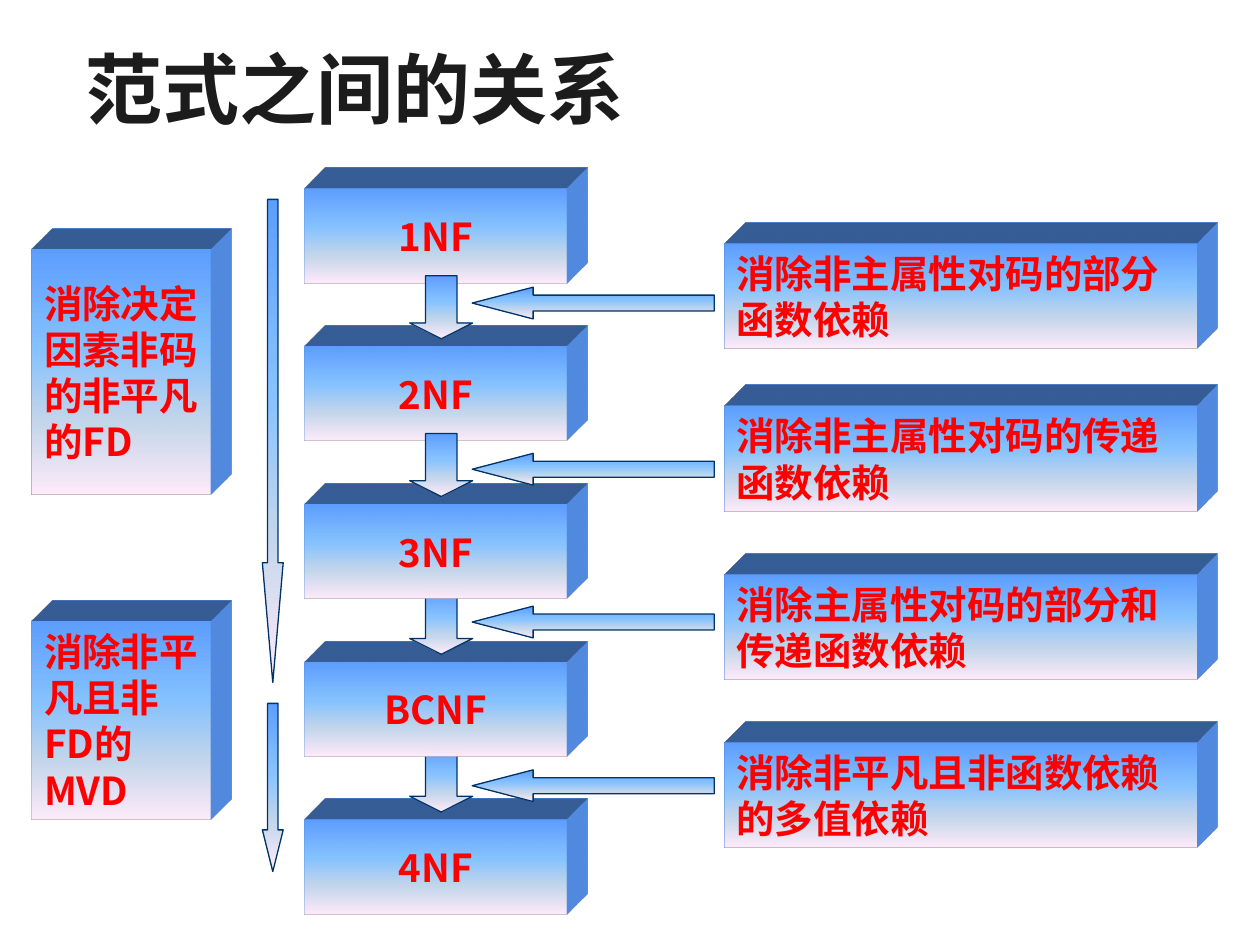
from dataclasses import dataclass

import pptx
import pptx.dml.color
import pptx.enum.shapes
import pptx.enum.text
import pptx.oxml
import pptx.oxml.ns
import pptx.util

Cm = pptx.util.Cm
Pt = pptx.util.Pt
PRESET = pptx.enum.shapes.MSO_SHAPE
ANCHOR = pptx.enum.text.MSO_ANCHOR
ALIGN = pptx.enum.text.PP_ALIGN

COLORS = {
    "title": "1C1C1C",
    "label": "FF0000",
    "outline": "003366",
    "sky": "5E9EFF",
    "light_sky": "85C2FF",
    "mist": "C4D6EB",
    "blush": "FFEBFA",
}
GRADIENT = (("sky", 0), ("light_sky", 40), ("mist", 70), ("blush", 100))
LABEL_FONT = "Noto Sans CJK SC"
BASE_FONT = "Lato"

FORM_LEFT, FORM_TOP, FORM_PITCH = 6.14, 3.81, 3.18
FORM_WIDTH, FORM_HEIGHT = 5.29, 1.9
STEP_SIZE, STEP_RISE = 1.27, 1.43


@dataclass(frozen=True)
class Area:
    left: float
    top: float
    width: float
    height: float

    def lengths(self) -> tuple:
        return Cm(self.left), Cm(self.top), Cm(self.width), Cm(self.height)


@dataclass(frozen=True)
class Step:
    """A move to the normal form in the given row, with its condition."""
    row: int
    form: str
    condition: str
    condition_top: float
    pointer_top: float


@dataclass(frozen=True)
class Shortcut:
    """A condition that spans several normal forms."""
    condition: str
    box: Area
    arrow: Area
    head: float


# Listed from back to front: a later form covers the start of the next arrow.
STEPS = (
    Step(1, "2NF", "消除非主属性对码的部分函数依赖", 4.9, 5.79),
    Step(4, "4NF", "消除非平凡且非函数依赖的多值依赖", 14.96, 15.52),
    Step(3, "BCNF", "消除主属性对码的部分和传递函数依赖", 11.58, 12.22),
    Step(2, "3NF", "消除非主属性对码的传递函数依赖", 8.18, 9.14),
)
SHORTCUTS = (
    Shortcut("消除非平凡且非FD的MVD", Area(0.64, 12.52, 3.6, 4.01),
             Area(5.29, 14.18, 0.42, 3.39), 2),
    Shortcut("消除决定因素非码的非平凡的FD", Area(0.64, 5.03, 3.6, 4.95),
             Area(5.29, 4.02, 0.42, 9.74), 5.75),
)


def rgb(name: str) -> pptx.dml.color.RGBColor:
    return pptx.dml.color.RGBColor.from_string(COLORS[name])


def add_text(paragraph, text: str, size: float, color: str, latin: str) -> None:
    run = paragraph.add_run()
    run.text = text
    run.font.size = Pt(size)
    run.font.bold = True
    run.font.name = latin
    run.font.color.rgb = rgb(color)
    east_asian = pptx.oxml.parse_xml(
        f'<a:ea {pptx.oxml.ns.nsdecls("a")} typeface="{BASE_FONT}"/>')
    run.font._element.find(pptx.oxml.ns.qn("a:latin")).addnext(east_asian)


def add_gradient_shape(slide, preset, area: Area):
    shape = slide.shapes.add_shape(preset, *area.lengths())
    shape.shadow.inherit = False
    shape.fill.gradient()
    shape.fill.gradient_angle = 270
    stops = "".join(
        f'<a:gs pos="{percent * 1000}"><a:srgbClr val="{COLORS[name]}"/></a:gs>'
        for name, percent in GRADIENT)
    stop_list = shape._element.spPr.find(".//" + pptx.oxml.ns.qn("a:gsLst"))
    stop_list.getparent().replace(stop_list, pptx.oxml.parse_xml(
        f'<a:gsLst {pptx.oxml.ns.nsdecls("a")}>{stops}</a:gsLst>'))
    return shape


def extrude(shape) -> None:
    """Give the shape depth towards the upper right."""
    namespace = pptx.oxml.ns.nsdecls("a")
    scene = (f'<a:scene3d {namespace}><a:camera prst="legacyObliqueTopRight"/>'
             '<a:lightRig rig="legacyFlat3" dir="b"/></a:scene3d>')
    depth = (f'<a:sp3d {namespace} extrusionH="430200" prstMaterial="legacyMatte">'
             '<a:bevelT w="13500" h="13500" prst="angle"/>'
             '<a:bevelB w="13500" h="13500" prst="angle"/>'
             f'<a:extrusionClr><a:srgbClr val="{COLORS["sky"]}"/></a:extrusionClr>'
             '</a:sp3d>')
    for markup in (scene, depth):
        shape._element.spPr.append(pptx.oxml.parse_xml(markup))


def add_block(slide, area: Area, text: str, centered: bool = False) -> None:
    block = add_gradient_shape(slide, PRESET.RECTANGLE, area)
    block.line.fill.background()
    extrude(block)
    frame = block.text_frame
    frame.word_wrap = not centered
    frame.vertical_anchor = ANCHOR.MIDDLE
    frame.margin_right = Cm(0.25 if centered else 0.2)
    paragraph = frame.paragraphs[0]
    paragraph.alignment = ALIGN.CENTER if centered else ALIGN.LEFT
    paragraph.line_spacing = Pt(26.4)
    add_text(paragraph, text, 22, "label", LABEL_FONT)


def add_arrow(slide, preset, area: Area, head: float) -> None:
    """Draw a block arrow; head is its head length over its thickness."""
    arrow = add_gradient_shape(slide, preset, area)
    arrow.adjustments[0] = 0.5
    arrow.adjustments[1] = head
    arrow.line.color.rgb = rgb("outline")
    arrow.line.width = Pt(0.75)


def add_form(slide, row: int, name: str) -> None:
    top = FORM_TOP + row * FORM_PITCH
    add_block(slide, Area(FORM_LEFT, top, FORM_WIDTH, FORM_HEIGHT), name, True)


def add_step(slide, step: Step) -> None:
    add_form(slide, step.row, step.form)
    arrow_top = FORM_TOP + step.row * FORM_PITCH - STEP_RISE
    add_arrow(slide, PRESET.DOWN_ARROW,
              Area(8.26, arrow_top, STEP_SIZE, STEP_SIZE), 0.25)
    add_block(slide, Area(14.6, step.condition_top, 9.52, 2.13), step.condition)
    add_arrow(slide, PRESET.LEFT_ARROW,
              Area(9.52, step.pointer_top, 4.88, 0.64), 1.92)


def add_title(slide, text: str) -> None:
    title = slide.shapes.add_textbox(*Area(1.47, 0.43, 23.14, 2.39).lengths())
    title.text_frame.word_wrap = True
    title.text_frame.vertical_anchor = ANCHOR.BOTTOM
    add_text(title.text_frame.paragraphs[0], text, 44, "title", BASE_FONT)


def main() -> None:
    presentation = pptx.Presentation()
    presentation.slide_width = Cm(25.4)
    presentation.slide_height = Cm(19.05)
    slide = presentation.slides.add_slide(presentation.slide_layouts[6])
    add_title(slide, "范式之间的关系")
    add_form(slide, 0, "1NF")
    for step in STEPS:
        add_step(slide, step)
    for shortcut in SHORTCUTS:
        add_arrow(slide, PRESET.DOWN_ARROW, shortcut.arrow, shortcut.head)
        add_block(slide, shortcut.box, shortcut.condition)
    presentation.save("out.pptx")


if __name__ == "__main__":
    main()
